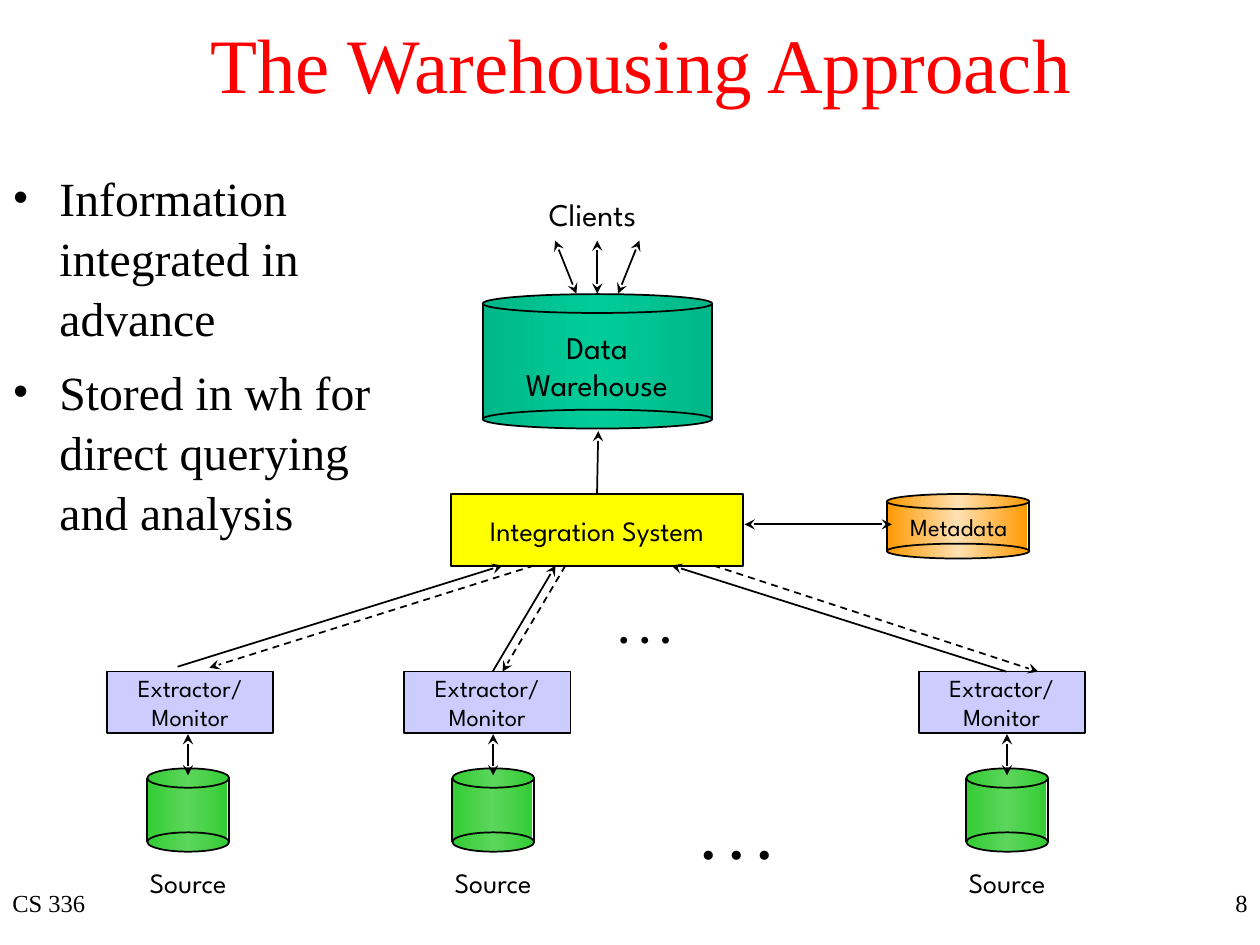
from copy import deepcopy

from lxml.etree import SubElement
from pptx import Presentation
from pptx.dml.color import RGBColor
from pptx.enum.dml import MSO_LINE
from pptx.enum.shapes import MSO_CONNECTOR, MSO_SHAPE
from pptx.enum.text import MSO_ANCHOR, PP_ALIGN
from pptx.oxml.ns import qn
from pptx.util import Cm, Pt

BLACK = RGBColor(0x00, 0x00, 0x00)
WHITE = RGBColor(0xFF, 0xFF, 0xFF)
RED = RGBColor(0xFF, 0x00, 0x00)
YELLOW = RGBColor(0xFF, 0xFF, 0x00)
LILAC = RGBColor(0xCC, 0xCC, 0xFF)
TEAL = (RGBColor(0x00, 0xB7, 0x89), RGBColor(0x00, 0xCC, 0x99))
GREEN = (RGBColor(0x33, 0xCC, 0x33), RGBColor(0x5C, 0xD6, 0x5C))
ORANGE = (RGBColor(0xFF, 0x99, 0x00), RGBColor(0xFF, 0xE0, 0xB2))
SERIF = "Times New Roman"
SANS = "League Spartan"


def style(frame, size, font, color=BLACK, align=PP_ALIGN.CENTER, bold=False):
    for para in frame.paragraphs:
        para.alignment = align
        for run in para.runs:
            run.font.size = Pt(size)
            run.font.name = font
            run.font.bold = bold
            run.font.color.rgb = color


def label(slide, text, x, y, w, h, size, font=SANS, wrap=False, **look):
    box = slide.shapes.add_textbox(Cm(x), Cm(y), Cm(w), Cm(h))
    frame = box.text_frame
    frame.word_wrap = wrap
    frame.text = text
    style(frame, size, font, **look)
    return frame


def shape(slide, kind, x, y, w, h, fill, edge=BLACK):
    """Add a shape; a pair of colours gives an edge-middle-edge gradient."""
    item = slide.shapes.add_shape(kind, Cm(x), Cm(y), Cm(w), Cm(h))
    item.shadow.inherit = False
    if isinstance(fill, RGBColor):
        item.fill.solid()
        item.fill.fore_color.rgb = fill
    else:
        blend(item.fill, *fill)
    if edge is None:
        item.line.fill.background()
    else:
        item.line.color.rgb = edge
        item.line.width = Pt(1)
    return item


def blend(fill, side, mid):
    fill.gradient()
    fill.gradient_angle = 0
    first, last = fill.gradient_stops
    first.color.rgb = side
    first.position = 0
    last.color.rgb = mid
    last.position = 0.5
    stops = fill._fill._gradFill.find(qn("a:gsLst"))
    end = deepcopy(stops[0])
    end.set("pos", "100000")
    stops.append(end)


def block(slide, text, x, y, w, h, fill, size):
    item = shape(slide, MSO_SHAPE.RECTANGLE, x, y, w, h, fill)
    frame = item.text_frame
    frame.word_wrap = False
    frame.margin_top = frame.margin_bottom = 0
    frame.vertical_anchor = MSO_ANCHOR.MIDDLE
    frame.text = text
    style(frame, size, SANS)
    return item


def line(slide, x1, y1, x2, y2, head=False, tail=False, dash=False):
    """Add a line with optional arrowheads at its start and end."""
    item = slide.shapes.add_connector(
        MSO_CONNECTOR.STRAIGHT, Cm(x1), Cm(y1), Cm(x2), Cm(y2))
    item.line.color.rgb = BLACK
    item.line.width = Pt(1)
    if dash:
        item.line.dash_style = MSO_LINE.DASH
    pen = item.line._get_or_add_ln()
    for tag, shown in (("a:headEnd", head), ("a:tailEnd", tail)):
        if shown:
            SubElement(pen, qn(tag), type="stealth")
    SubElement(item._element.spPr, qn("a:effectLst"))
    return item


def drum(slide, x, y, w, h, cap, fill, edge=None):
    """Build a cylinder from a body, two sides and two oval caps."""
    top, base = y + cap / 2, y + h - cap / 2
    shape(slide, MSO_SHAPE.RECTANGLE, x - 0.02, top, w, base - top, fill, edge)
    for side in (x, x + w):
        line(slide, side, top, side, base)
    for level in (y, y + h - cap):
        shape(slide, MSO_SHAPE.OVAL, x, level, w, cap, fill)


def bullets(slide, items):
    frame = label(slide, "\n".join(items), 0, 3.22, 8.89, 7.82, 27.2,
                  SERIF, wrap=True, align=PP_ALIGN.LEFT)
    for index, para in enumerate(frame.paragraphs):
        props = para._p.get_or_add_pPr()
        props.set("marL", str(Cm(0.95)))
        props.set("indent", str(-Cm(0.95)))
        para.line_spacing = 1.05
        if index:
            para.space_before = Pt(8)
        SubElement(props, qn("a:buFont"), typeface=SERIF)
        SubElement(props, qn("a:buChar"), char="•")


def store(slide):
    """Draw the clients, the warehouse and its metadata."""
    mid = 12.04
    label(slide, "Clients", 10.69, 3.81, 2.51, 1.02, 18)
    for step in (-1, 0, 1):
        line(slide, mid + step * 0.85, 4.85, mid + step * 0.42, 5.92,
             head=True, tail=True)
    drum(slide, 9.73, 5.93, 4.63, 2.71, 0.38, TEAL)
    label(slide, "Data\nWarehouse", 10.08, 6.48, 3.91, 1.78, 18)
    hub = block(slide, "Integration System", 9.09, 9.96, 5.89, 1.45, YELLOW, 16)
    feed = line(slide, mid, 9.96, 12.06, 8.69, tail=True)
    feed.begin_connect(hub, 0)
    drum(slide, 17.88, 9.96, 2.87, 1.3, 0.3, ORANGE, WHITE)
    label(slide, "Metadata", 17.96, 10.19, 2.74, 0.84, 14)
    line(slide, 15.01, 10.57, 17.98, 10.57, head=True, tail=True)


def source(slide, left, mid):
    block(slide, "Extractor/\nMonitor", left, 13.54, 3.35, 1.24, LILAC, 14)
    drum(slide, mid - 0.82, 15.49, 1.65, 1.68, 0.39, GREEN, WHITE)
    line(slide, mid, 14.8, mid, 15.63, head=True, tail=True)
    label(slide, "Source", mid - 1.17, 17.32, 2.34, 0.94, 16)


def links(slide):
    """Join the extractors to the hub: solid going up, dashed going down."""
    hub = 11.4
    for low, y, high in ((3.58, 13.44, 10.13), (9.93, 13.54, 11.2),
                         (20.29, 13.54, 13.54)):
        line(slide, low, y, high, hub, tail=True)
    for high, low, y in ((10.77, 4.22, 13.46), (11.4, 10.13, 13.54),
                         (14.38, 20.93, 13.54)):
        line(slide, high, hub, low, y, tail=True, dash=True)


def main():
    deck = Presentation()
    deck.slide_width, deck.slide_height = Cm(25.4), Cm(19.05)
    slide = deck.slides.add_slide(deck.slide_layouts[6])
    title = label(slide, "The Warehousing Approach", 1.07, 0, 23.7, 2.54, 44,
                  SERIF, wrap=True, color=RED)
    title.vertical_anchor = MSO_ANCHOR.MIDDLE
    bullets(slide, ("Information integrated in advance",
                    "Stored in wh for direct querying and analysis"))
    store(slide)
    for left, mid in ((2.16, 3.79), (8.15, 9.94), (18.52, 20.3)):
        source(slide, left, mid)
    links(slide)
    for x, y, w, h, size in ((12.22, 12.01, 1.57, 1.27, 24),
                             (13.89, 16.08, 1.93, 1.6, 32)):
        label(slide, ". . .", x, y, w, h, size, SERIF,
              align=PP_ALIGN.LEFT, bold=True)
    label(slide, "CS 336", 0, 17.78, 8.05, 1.27, 14, SERIF, wrap=True,
          align=PP_ALIGN.LEFT)
    label(slide, "8", 20.12, 17.78, 5.28, 1.27, 14, SERIF, wrap=True,
          align=PP_ALIGN.RIGHT)
    deck.save("out.pptx")


if __name__ == "__main__":
    main()
